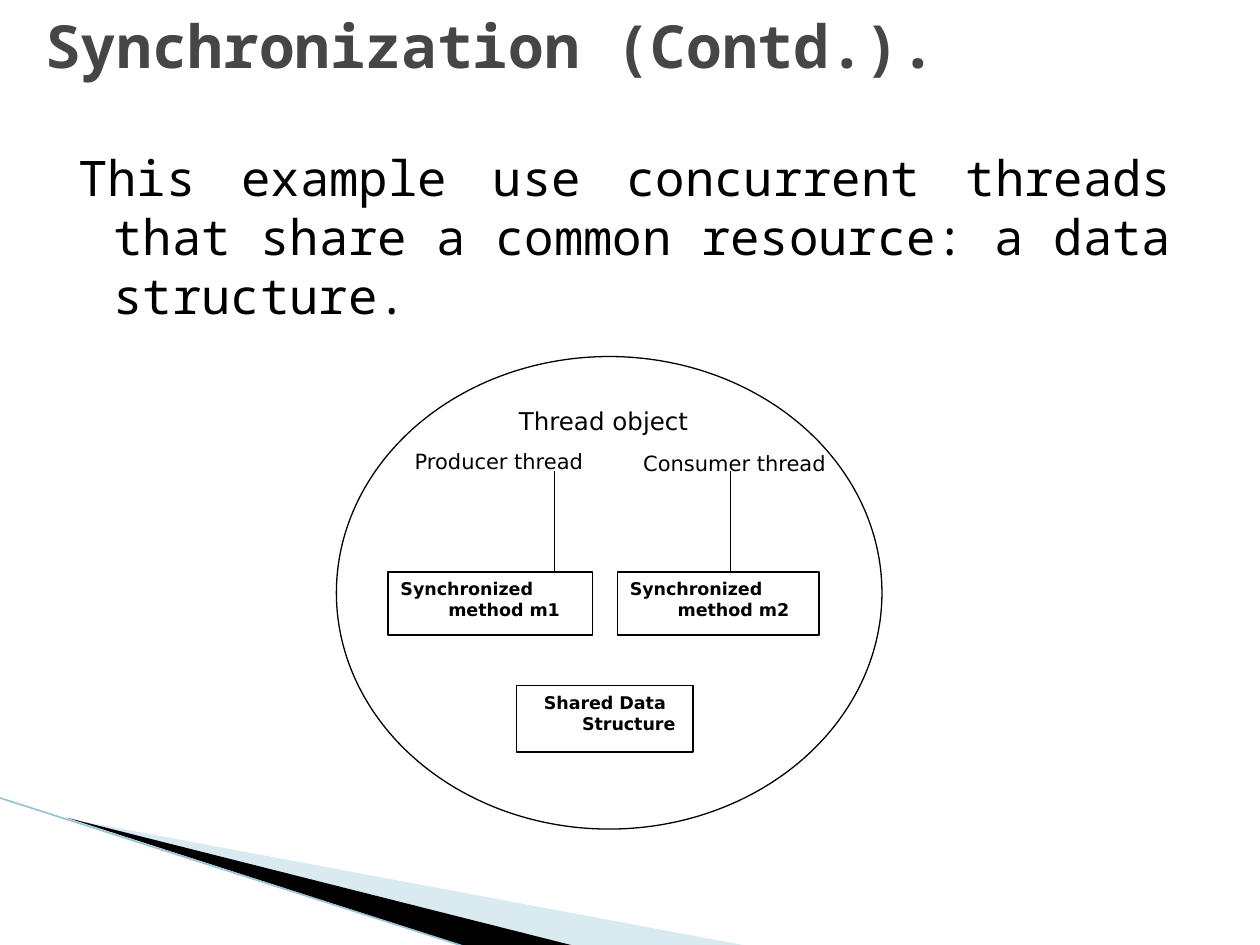
from lxml.etree import SubElement
from pptx import Presentation
from pptx.dml.color import RGBColor
from pptx.enum.shapes import MSO_CONNECTOR as Link, MSO_SHAPE as Preset
from pptx.enum.text import MSO_ANCHOR as Anchor, MSO_AUTO_SIZE as Fit, PP_ALIGN as Align
from pptx.oxml.ns import qn
from pptx.util import Inches, Pt

BLACK = RGBColor(0x00, 0x00, 0x00)
WHITE = RGBColor(0xFF, 0xFF, 0xFF)
GREY = RGBColor(0x46, 0x46, 0x46)
PALE_BLUE = RGBColor(0xA0, 0xCB, 0xDC)
EDGE_BLUE = RGBColor(0x97, 0xC5, 0xD8)
MONO = "Noto Sans Mono"
SANS = "DejaVu Sans"


def place(shape, left, top, width, height):
    """Move and size a shape in inches."""
    shape.left, shape.top = Inches(left), Inches(top)
    shape.width, shape.height = Inches(width), Inches(height)


def write(shape, text, size, font=SANS, color=BLACK, bold=False, align=Align.LEFT,
          anchor=Anchor.TOP, fit=Fit.NONE, margin=0.0, indent=0.0, before=0):
    """Put one formatted paragraph into a shape."""
    frame = shape.text_frame
    frame.word_wrap, frame.auto_size, frame.vertical_anchor = True, fit, anchor
    para = frame.paragraphs[0]
    para.alignment, para.space_before = align, Pt(before)
    props = para._p.get_or_add_pPr()
    props.set("marL", str(Inches(margin)))
    props.set("indent", str(Inches(indent)))
    SubElement(props, qn("a:buNone"))
    span = para.add_run()
    span.text = text
    span.font.size, span.font.name, span.font.bold = Pt(size), font, bold
    span.font.color.rgb = color


def add_outlined(page, preset, left, top, width, height):
    """Add a white preset shape with a thin black outline."""
    shape = page.shapes.add_shape(preset, *map(Inches, (left, top, width, height)))
    shape.shadow.inherit = False
    shape.fill.solid()
    shape.fill.fore_color.rgb = WHITE
    shape.line.color.rgb = BLACK
    shape.line.width = Pt(0.75)
    return shape


def add_box(page, text, left, top, width, height, align=Align.LEFT):
    """Add a rectangle with a bold hanging caption."""
    box = add_outlined(page, Preset.RECTANGLE, left, top, width, height)
    write(box, text, 10, bold=True, align=align, margin=0.38, indent=-0.38, before=2)


def add_label(page, text, left, top, width, height, size):
    """Add a centred text label."""
    label = page.shapes.add_textbox(*map(Inches, (left, top, width, height)))
    write(label, text, size, align=Align.CENTER, fit=Fit.SHAPE_TO_FIT_TEXT,
          margin=0.38, indent=-0.38, before=size / 2)


def add_line(page, start, end, color=BLACK, width=0.75):
    """Add a straight line without a shadow."""
    line = page.shapes.add_connector(Link.STRAIGHT, *map(Inches, start + end))
    line.line.color.rgb = color
    line.line.width = Pt(width)
    SubElement(line._element.spPr, qn("a:effectLst"))


def add_wedge(page, points, color, opacity=100):
    """Add a filled closed outline through the points."""
    corners = [(Inches(x), Inches(y)) for x, y in points]
    builder = page.shapes.build_freeform(*corners[0])
    builder.add_line_segments(corners[1:], close=True)
    wedge = builder.convert_to_shape()
    wedge.shadow.inherit = False
    wedge.line.fill.background()
    wedge.fill.solid()
    wedge.fill.fore_color.rgb = color
    if opacity < 100:
        tint = wedge._element.spPr.find(qn("a:solidFill"))[0]
        SubElement(tint, qn("a:alpha")).set("val", str(opacity * 1000))


def add_corner(page):
    """Add the wedges in the lower left corner."""
    add_wedge(page, [(0.55, 6.5), (5.95, 7.51), (4.56, 7.51)], PALE_BLUE, 40)
    add_wedge(page, [(0.53, 6.49), (4.57, 7.51), (3.72, 7.52)], BLACK)
    add_line(page, (-0.01, 6.33), (3.71, 7.52), EDGE_BLUE, 0.95)


def add_diagram(page):
    """Add the thread object with its methods and shared data."""
    add_outlined(page, Preset.OVAL, 2.67, 2.83, 4.33, 3.75)
    add_box(page, "Synchronized method m1", 3.08, 4.54, 1.62, 0.5)
    add_box(page, "Synchronized method m2", 4.9, 4.54, 1.6, 0.5)
    add_box(page, "Shared Data Structure", 4.1, 5.44, 1.4, 0.53, Align.CENTER)
    for x in (4.4, 5.8):
        add_line(page, (x, 3.74), (x, 4.54))
    add_label(page, "Thread object", 4, 3.17, 1.58, 0.33, 14)
    add_label(page, "Producer thread ", 3.17, 3.51, 1.58, 0.3, 12)
    add_label(page, "Consumer thread", 4.83, 3.53, 2, 0.3, 12)


def main():
    """Build and save the slide."""
    deck = Presentation()
    deck.slide_width, deck.slide_height = Inches(10), Inches(7.5)
    page = deck.slides.add_slide(deck.slide_layouts[1])
    title, body = page.placeholders
    add_corner(page)
    place(title, 0.26, 0.02, 8.27, 0.67)
    write(title, "Synchronization (Contd.).", 34, font=MONO, color=GREY, bold=True,
          anchor=Anchor.MIDDLE, fit=Fit.SHAPE_TO_FIT_TEXT)
    place(body, 0.4, 1.12, 9, 5.5)
    write(body, "This example use concurrent threads that share a common resource: "
          "a data structure.", 28, font=MONO, align=Align.JUSTIFY, margin=0.4, indent=-0.28)
    add_diagram(page)
    deck.save("out.pptx")


if __name__ == "__main__":
    main()
